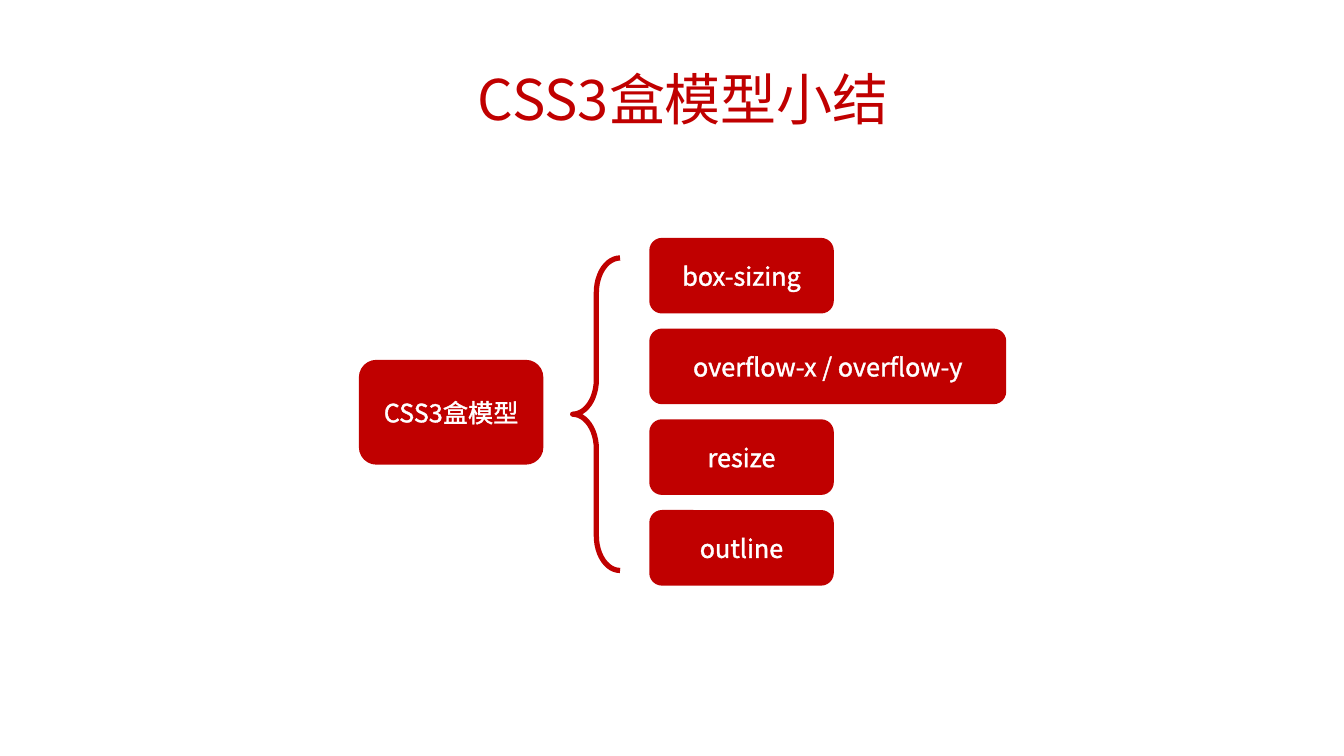
from dataclasses import dataclass

from pptx import Presentation
from pptx.dml.color import RGBColor
from pptx.enum import shapes, text
from pptx.oxml import parse_xml
from pptx.oxml.ns import nsdecls, qn
from pptx.util import Inches, Pt


@dataclass(frozen=True)
class Theme:
    font: str = "Noto Sans CJK SC"
    red: RGBColor = RGBColor(0xC0, 0x00, 0x00)
    white: RGBColor = RGBColor(0xFF, 0xFF, 0xFF)
    title_size: int = 40
    label_size: int = 18
    brace_width: float = 3.75
    outline_width: float = 0.75


THEME = Theme()
KINDS = shapes.MSO_SHAPE
ALIGN = text.PP_ALIGN
ANCHOR = text.MSO_ANCHOR


def write(tf, words, size, color, align=ALIGN.LEFT, anchor=ANCHOR.TOP,
          spacing=None, outline=None):
    """Put one formatted run into a text frame, with an optional glyph outline."""
    tf.word_wrap = True
    tf.vertical_anchor = anchor
    p = tf.paragraphs[0]
    p.alignment = align
    p.line_spacing = spacing
    r = p.add_run()
    r.text = words
    r.font.size = Pt(size)
    r.font.name = THEME.font
    r.font.color.rgb = color
    rPr = r.font._element
    rPr.find(qn("a:latin")).addnext(
        parse_xml(f'<a:ea {nsdecls("a")} typeface="{THEME.font}"/>'))
    if outline:
        rPr.insert(0, parse_xml(
            f'<a:ln {nsdecls("a")} w="{Pt(THEME.outline_width)}"><a:solidFill>'
            f'<a:srgbClr val="{outline}"/></a:solidFill></a:ln>'))


def add_title(s, words, left, top, width, height):
    sp = s.shapes.title
    sp.left, sp.top = Inches(left), Inches(top)
    sp.width, sp.height = Inches(width), Inches(height)
    sp.text_frame.auto_size = text.MSO_AUTO_SIZE.NONE
    write(sp.text_frame, words, THEME.title_size, THEME.red, spacing=1.5)


def add_box(parent, words, left, top, width, height):
    sp = parent.shapes.add_shape(KINDS.ROUNDED_RECTANGLE, Inches(left),
                                 Inches(top), Inches(width), Inches(height))
    sp.shadow.inherit = False
    sp.fill.solid()
    sp.fill.fore_color.rgb = THEME.red
    sp.line.fill.background()
    write(sp.text_frame, words, THEME.label_size, THEME.white, ALIGN.CENTER,
          ANCHOR.MIDDLE, outline=THEME.white)


def add_properties(s, items, left, top, height, pitch):
    """Stack the property boxes in one group; items are (name, width) pairs."""
    group = s.shapes.add_group_shape()
    for i, (name, width) in enumerate(items):
        add_box(group, name, left, top + i * pitch, width, height)


def add_brace(s, left, top, width, height):
    sp = s.shapes.add_shape(KINDS.LEFT_BRACE, Inches(left), Inches(top),
                            Inches(width), Inches(height))
    sp.shadow.inherit = False
    sp.adjustments[0] = 0.73
    sp.adjustments[1] = 0.5
    sp.fill.background()
    sp.line.color.rgb = THEME.red
    sp.line.width = Pt(THEME.brace_width)


def main():
    prs = Presentation()
    prs.slide_width, prs.slide_height = Inches(13.33), Inches(7.5)
    s = prs.slides.add_slide(prs.slide_layouts[5])
    box_width = 1.83
    add_title(s, "CSS3盒模型小结", 4.64, 0.26, 4.36, 0.99)
    add_box(s, "CSS3盒模型", 3.56, 3.57, box_width, 1.04)
    add_properties(s, [("box-sizing", box_width),
                       ("overflow-x / overflow-y", 3.54),
                       ("resize", box_width),
                       ("outline", box_width)], 6.44, 2.36, 0.75, 0.9)
    add_brace(s, 5.68, 2.56, 0.47, 3.1)
    prs.save("out.pptx")


if __name__ == "__main__":
    main()
